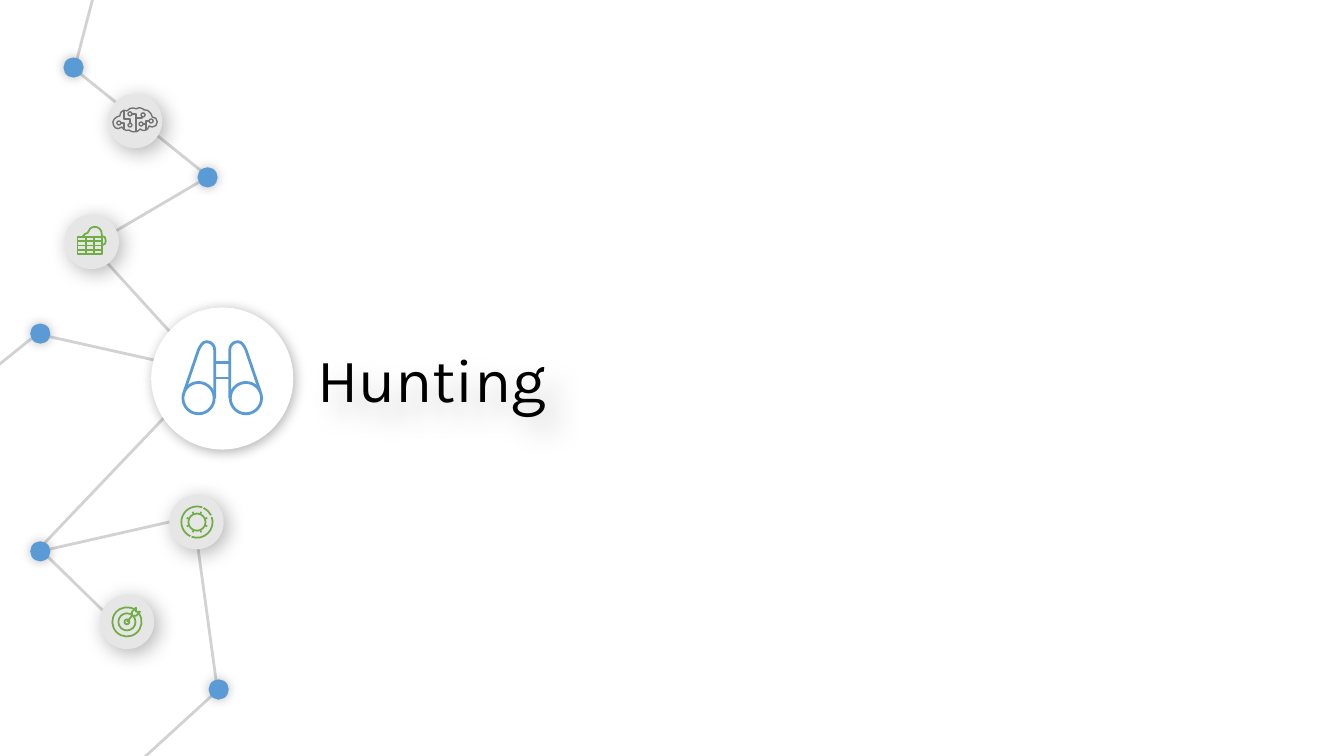
import math

from lxml import etree
from pptx import Presentation
from pptx.dml.color import RGBColor
from pptx.enum.shapes import MSO_CONNECTOR, MSO_SHAPE
from pptx.enum.text import MSO_AUTO_SIZE
from pptx.oxml.ns import qn
from pptx.util import Cm, Pt

STRAIGHT = MSO_CONNECTOR.STRAIGHT
OVAL, RECTANGLE = MSO_SHAPE.OVAL, MSO_SHAPE.RECTANGLE
GROW = MSO_AUTO_SIZE.SHAPE_TO_FIT_TEXT

COLORS = {"link": "D2D2D2", "blue": "5B9BD5", "white": "FFFFFF", "badge": "E7E6E6",
          "green": "70AD47", "gray": "737373", "black": "000000"}

# All coordinates below are in inches; length() turns them into Cm.
TITLE = "Hunting"
TITLE_BOX = (3.05, 3.28, 5.56, 0.94)

LINKS = [
    ((0.31, 3.36), (-0.1, 3.69)), ((2.18, 6.83), (1.25, 7.68)),
    ((1.93, 5.18), (2.17, 6.94)), ((0.91, 2.44), (2.04, 3.68)),
    ((0.44, 5.49), (1.28, 6.31)), ((0.44, 5.46), (1.85, 5.14)),
    ((2.06, 3.69), (0.44, 5.39)), ((1.97, 1.81), (0.93, 2.42)),
    ((0.77, 0.71), (2.04, 1.73)), ((0.75, 0.64), (0.93, -0.05)),
]
OVAL_LINK = ((2.06, 3.69), (0.49, 3.34))

DOT_SIZE = 0.2
DOTS = [(2.06, 1.76), (2.17, 6.84), (0.73, 0.67), (0.4, 5.47), (0.4, 3.31)]

# Shadows: opacity %, blur pt, distance pt, angle
TITLE_SHADOW = (20, 20, 14, 45)
DOT_SHADOW = (27, 8, 0, 0)
HUB_SHADOW = (30, 9, 2, 45)
BADGE_SHADOW = (30, 15, 4, 45)

# Curves: a start, then two control points and an end for each piece.
BINOCULARS_AXIS = 2.205
BARREL_CURVE = [(2.44, 3.47), (2.42, 3.43), (2.4, 3.39), (2.36, 3.39),
                (2.31, 3.39), (2.28, 3.43), (2.28, 3.47)]
CLOUD = [(0.82, 2.35), (0.83, 2.33), (0.85, 2.31), (0.87, 2.31), (0.88, 2.28),
         (0.9, 2.25), (0.94, 2.25), (0.98, 2.25), (1.01, 2.28), (1.01, 2.32),
         (1.01, 2.33), (1.01, 2.33), (1.01, 2.34), (1.04, 2.34), (1.05, 2.36),
         (1.05, 2.39), (1.05, 2.41), (1.04, 2.43), (1.02, 2.43)]
CALENDAR = (0.77, 2.35, 0.24, 0.17)
BRAIN_NODES = [(1.5, 1.2), (1.4, 1.23), (1.29, 1.13), (1.42, 1.14), (1.29, 1.24), (1.18, 1.22)]
BRAIN_TRACES = [
    [(1.23, 1.29), (1.23, 1.22), (1.2, 1.22)],
    [(1.35, 1.31), (1.35, 1.13), (1.31, 1.13)],
    [(1.35, 1.17), (1.41, 1.17), (1.41, 1.15)],
    [(1.23, 1.1), (1.23, 1.18), (1.29, 1.18), (1.29, 1.22)],
    [(1.48, 1.2), (1.45, 1.2), (1.45, 1.25)],
    [(1.45, 1.29), (1.45, 1.23), (1.41, 1.23)],
]
BRAIN_OUTLINE = [
    (1.48, 1.25), (1.49, 1.26), (1.5, 1.26), (1.51, 1.26), (1.54, 1.26), (1.56, 1.24),
    (1.56, 1.21), (1.56, 1.18), (1.54, 1.16), (1.51, 1.16), (1.51, 1.16), (1.5, 1.09),
    (1.43, 1.09), (1.43, 1.09), (1.39, 1.05), (1.35, 1.08), (1.35, 1.08), (1.3, 1.05),
    (1.26, 1.1), (1.26, 1.1), (1.2, 1.07), (1.19, 1.15), (1.19, 1.15), (1.13, 1.16),
    (1.12, 1.21), (1.12, 1.26), (1.16, 1.3), (1.21, 1.26), (1.21, 1.26), (1.24, 1.31),
    (1.28, 1.29), (1.28, 1.29), (1.34, 1.34), (1.39, 1.28), (1.39, 1.28), (1.45, 1.33),
    (1.48, 1.25)]


def length(inches):
    return Cm(inches * 2.54)


def color(name):
    return RGBColor.from_string(COLORS[name])


def polar(center, radius, angle):
    return center[0] + radius * math.cos(angle), center[1] + radius * math.sin(angle)


def arc(center, radius, start=0, end=360):
    """Curve points of an arc; angles in degrees, clockwise from the right."""
    pieces = math.ceil(abs(end - start) / 90)
    turn = math.radians(end - start) / pieces
    bend = math.atan(4 / 3 * math.tan(turn / 4))
    reach = radius / math.cos(bend)
    angle = math.radians(start)
    points = [polar(center, radius, angle)]
    for _ in range(pieces):
        points += [polar(center, reach, angle + bend), polar(center, reach, angle + turn - bend),
                   polar(center, radius, angle + turn)]
        angle += turn
    return points


def straight(points):
    """Curve points of straight pieces."""
    return points[:1] + [point for point in points[1:] for _ in range(3)]


def binoculars():
    barrel = straight([(2.58, 3.88), BARREL_CURVE[0]]) + BARREL_CURVE[1:]
    barrel += straight([BARREL_CURVE[-1], (2.28, 3.95)])[1:]
    right = [arc((2.44, 3.95), 0.155), barrel]
    left = [[(2 * BINOCULARS_AXIS - x, y) for x, y in contour] for contour in right]
    return left + right + [straight([(2.13, y), (2.28, y)]) for y in (3.6, 3.75)]


def target():
    center = (1.26, 6.17)
    fletching = [(1.39, 6.07), (1.35, 6.07), (1.35, 6.03), (1.31, 6.07),
                 (1.31, 6.11), (1.35, 6.11), (1.39, 6.07)]
    return [arc(center, 0.145, -35, 306), arc(center, 0.085), arc(center, 0.025),
            straight([center, (1.31, 6.11)]), straight(fletching)]


def gear():
    center = (1.955, 5.18)
    rings = [arc(center, 0.155, *span) for span in ((115, 290), (110, -19), (-26, -65))]
    teeth = [straight([polar(center, radius, math.radians(22.5 + 45 * tooth))
                       for radius in (0.085, 0.11)]) for tooth in range(8)]
    return [arc(center, 0.085)] + rings + teeth


def brain():
    return ([arc(node, 0.02) for node in BRAIN_NODES]
            + [straight(trace) for trace in BRAIN_TRACES] + [BRAIN_OUTLINE])


def add_effects(shape, shadow=None):
    effects = etree.SubElement(shape._element.spPr, qn("a:effectLst"))
    if shadow:
        opacity, blur, distance, angle = shadow
        outer = etree.SubElement(effects, qn("a:outerShdw"), blurRad=str(Pt(blur)),
                                 dist=str(Pt(distance)), dir=str(angle * 60000),
                                 algn="ctr", rotWithShape="0")
        tint = etree.SubElement(outer, qn("a:srgbClr"), val=COLORS["black"])
        etree.SubElement(tint, qn("a:alpha"), val=str(opacity * 1000))


def add_line(shapes, start, end, name, width):
    line = shapes.add_connector(STRAIGHT, *map(length, start + end))
    line.line.color.rgb = color(name)
    line.line.width = Pt(width)
    add_effects(line)
    return line


def add_disc(shapes, center, size, name, shadow):
    left, top = (value - size / 2 for value in center)
    disc = shapes.add_shape(OVAL, *map(length, (left, top, size, size)))
    disc.fill.solid()
    disc.fill.fore_color.rgb = color(name)
    disc.line.fill.background()
    add_effects(disc, shadow)


def set_outline(shape, name, width):
    shape.shadow.inherit = False
    shape.fill.background()
    shape.line.color.rgb = color(name)
    shape.line.width = Pt(width)


def add_icon(shapes, contours, name, width):
    """Draw the contours, joining each three line points into one cubic curve."""
    contours = [[(length(x), length(y)) for x, y in contour] for contour in contours]
    builder = shapes.build_freeform(*contours[0][0])
    for index, contour in enumerate(contours):
        if index:
            builder.move_to(*contour[0])
        builder.add_line_segments(contour[1:], close=False)
    icon = builder.convert_to_shape()
    pieces = list(icon._element.iter(qn("a:lnTo")))
    for first, second, third in zip(pieces[::3], pieces[1::3], pieces[2::3]):
        cubic = etree.Element(qn("a:cubicBezTo"))
        first.addprevious(cubic)
        for piece in (first, second, third):
            cubic.append(piece[0])
            piece.getparent().remove(piece)
    set_outline(icon, name, width)


def add_calendar(shapes):
    left, top, width, height = CALENDAR
    frame = shapes.add_shape(RECTANGLE, *map(length, CALENDAR))
    set_outline(frame, "green", 1.25)
    for column in (1, 2):
        x = left + width * column / 3
        add_line(shapes, (x, top), (x, top + height), "green", 1.25)
    for row in (1, 2, 3):
        y = top + height * row / 4
        line = add_line(shapes, (left, y), (left + width, y), "green", 1.25)
        if row == 2:
            line.begin_connect(frame, 1)
            line.end_connect(frame, 3)


# center, size, fill, shadow, icon contours, icon color, icon line width
BADGES = [
    ((2.205, 3.755), 1.41, "white", HUB_SHADOW, binoculars(), "blue", 2),
    ((0.91, 2.4), 0.54, "badge", BADGE_SHADOW, [CLOUD], "green", 1.25),
    ((1.26, 6.17), 0.54, "badge", BADGE_SHADOW, target(), "green", 1.25),
    ((1.95, 5.18), 0.54, "badge", BADGE_SHADOW, gear(), "green", 1.25),
    ((1.34, 1.2), 0.54, "badge", BADGE_SHADOW, brain(), "gray", 1),
]
CALENDAR_BADGE, LOOSE_BADGE = 1, 4


def main():
    deck = Presentation()
    deck.slide_width, deck.slide_height = Cm(33.87), Cm(19.05)
    page = deck.slides.add_slide(deck.slide_layouts[6])
    for start, end in LINKS:
        add_line(page.shapes, start, end, "link", 2)
    oval_link = add_line(page.shapes, *OVAL_LINK, "link", 2)
    etree.SubElement(oval_link.line._get_or_add_ln(), qn("a:headEnd"), type="oval")

    title = page.shapes.add_textbox(*map(length, TITLE_BOX))
    add_effects(title, TITLE_SHADOW)
    frame = title.text_frame
    frame.word_wrap = True
    frame.auto_size = GROW
    frame.margin_left = frame.margin_right = frame.margin_top = frame.margin_bottom = length(0.1)
    frame.text = TITLE
    font = frame.paragraphs[0].runs[0].font
    font.name, font.size, font.color.rgb = "Karla", Pt(44), color("black")

    for center in DOTS:
        add_disc(page.shapes, center, DOT_SIZE, "blue", DOT_SHADOW)
    for index, (center, size, fill, shadow, contours, name, width) in enumerate(BADGES):
        shapes = page.shapes if index == LOOSE_BADGE else page.shapes.add_group_shape().shapes
        add_disc(shapes, center, size, fill, shadow)
        if index == CALENDAR_BADGE:
            add_calendar(shapes)
        add_icon(shapes, contours, name, width)
    deck.save("out.pptx")


if __name__ == "__main__":
    main()
